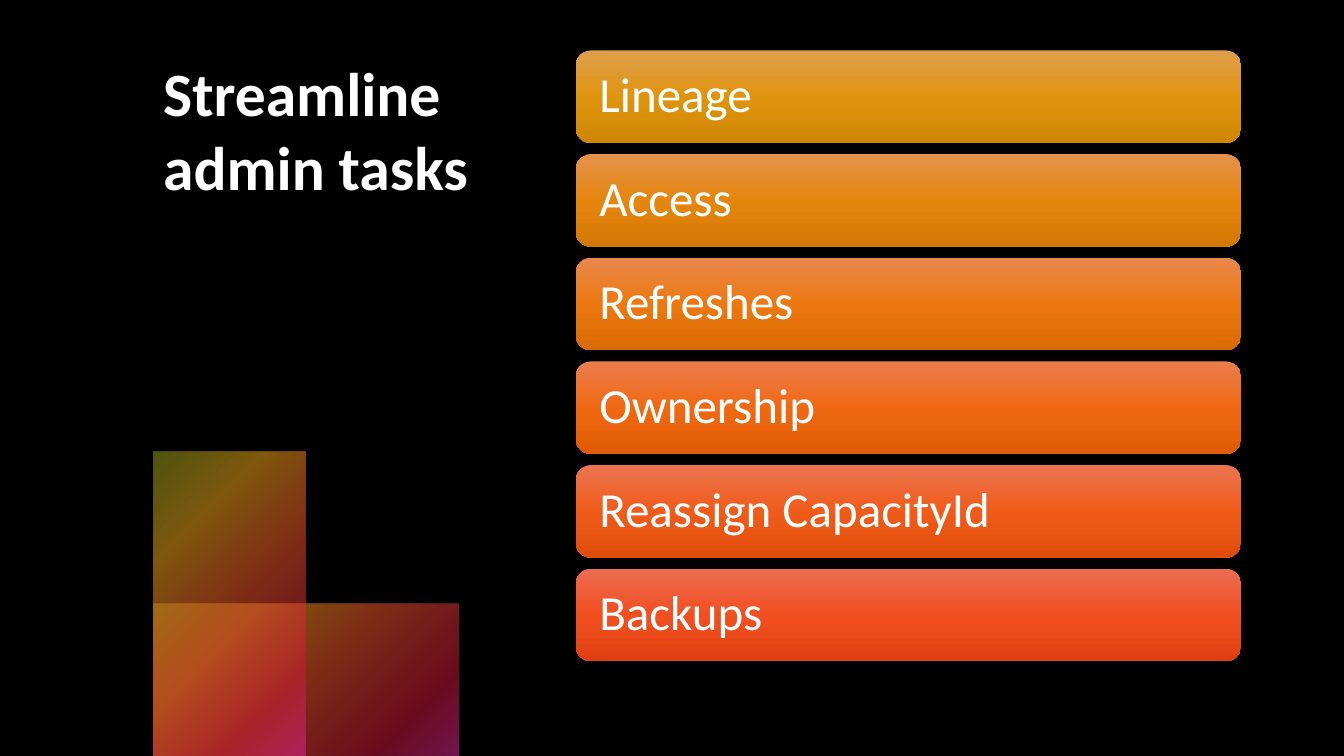
import pptx
import pptx.util
import pptx.oxml
import pptx.oxml.ns
import pptx.dml.color
import pptx.enum.shapes
import pptx.enum.text

Inches = pptx.util.Inches
Pt = pptx.util.Pt
SHAPES = pptx.enum.shapes.MSO_SHAPE
ANCHORS = pptx.enum.text.MSO_ANCHOR

COLOURS = {"background": "000000", "text": "FFFFFF"}
FONT = "Calibri"

# Stops are (position %, colour, opacity %).
GLOW = [(0, "9FA71E", 50), (25, "D59117", 60), (50, "E75429", 55),
        (81, "D5173B", 50), (99, "E7299C", 50)]
GLOW_DIRECTION = ('<a:path path="circle">'
                  '<a:fillToRect r="100000" b="100000"/></a:path>')
DOWNWARD = '<a:lin ang="5400000" scaled="0"/>'

TASKS = [
    ("Lineage", ("DE9E4D", "DF940D", "CE8604")),
    ("Access", ("E5934D", "E5860E", "D47804")),
    ("Refreshes", ("EA884D", "EC780F", "DA6A04")),
    ("Ownership", ("EB7D4E", "F06912", "E05B04")),
    ("Reassign CapacityId", ("EB7451", "F05B19", "E04D0B")),
    ("Backups", ("EC6C53", "F14F1F", "E04011")),
]


def colour(name):
    return pptx.dml.color.RGBColor.from_string(COLOURS[name])


def set_gradient(shape, stops, direction):
    """Replace the fill of a shape with any number of gradient stops."""
    stop_xml = "".join(
        f'<a:gs pos="{position * 1000}"><a:srgbClr val="{rgb}">'
        f'<a:alpha val="{opacity * 1000}"/></a:srgbClr></a:gs>'
        for position, rgb, opacity in stops)
    gradient = pptx.oxml.parse_xml(
        f'<a:gradFill {pptx.oxml.ns.nsdecls("a")} rotWithShape="1">'
        f'<a:gsLst>{stop_xml}</a:gsLst>{direction}</a:gradFill>')
    shape.fill.background()
    empty_fill = shape.element.spPr.find(pptx.oxml.ns.qn("a:noFill"))
    shape.element.spPr.replace(empty_fill, gradient)


def add_panel(slide, kind, box, stops, direction):
    panel = slide.shapes.add_shape(kind, *map(Inches, box))
    panel.shadow.inherit = False
    panel.line.fill.background()
    set_gradient(panel, stops, direction)
    return panel


def write(frame, wording, frame_format, font_format):
    for attribute, value in frame_format.items():
        setattr(frame, attribute, value)
    paragraph = frame.paragraphs[0]
    paragraph.alignment = pptx.enum.text.PP_ALIGN.LEFT
    run = paragraph.add_run()
    run.text = wording
    for attribute, value in {"name": FONT, **font_format}.items():
        setattr(run.font, attribute, value)
    run.font.color.rgb = colour("text")


def add_heading(slide, box):
    heading = slide.shapes.add_textbox(*map(Inches, box))
    write(heading.text_frame, "Streamline admin tasks",
          {"word_wrap": True, "vertical_anchor": ANCHORS.TOP},
          {"size": Pt(44), "bold": True})


def add_corner_glow(slide, box):
    """Overlap a wide and a tall panel in the lower left of the box."""
    left, top, width, height = box
    half = height / 2
    for panel_box in ((left, top + half, width, half),
                      (left, top, width / 2, height)):
        add_panel(slide, SHAPES.RECTANGLE, panel_box, GLOW, GLOW_DIRECTION)


def add_task_list(slide, box, gap=0.11):
    left, top, width, height = box
    bar_height = (height - gap * (len(TASKS) - 1)) / len(TASKS)
    for index, (task, shades) in enumerate(TASKS):
        bar_top = top + index * (bar_height + gap)
        stops = [(position, rgb, 100)
                 for position, rgb in zip((0, 50, 100), shades)]
        bar = add_panel(slide, SHAPES.ROUNDED_RECTANGLE,
                        (left, bar_top, width, bar_height), stops, DOWNWARD)
        write(bar.text_frame, task,
              {"word_wrap": True, "vertical_anchor": ANCHORS.MIDDLE,
               "margin_left": Inches(0.19), "margin_right": Inches(0.19)},
              {"size": Pt(35)})
        bar.text_frame.paragraphs[0].line_spacing = 0.9


def main():
    deck = pptx.Presentation()
    deck.slide_width, deck.slide_height = Inches(13.33), Inches(7.5)
    slide = deck.slides.add_slide(deck.slide_layouts[6])
    slide.background.fill.solid()
    slide.background.fill.fore_color.rgb = colour("background")
    add_corner_glow(slide, (1.52, 4.48, 3.03, 3.02))
    add_heading(slide, (1.52, 0.5, 3.48, 3.71))
    add_task_list(slide, (5.71, 0.5, 6.6, 6.06))
    deck.save("out.pptx")


if __name__ == "__main__":
    main()
